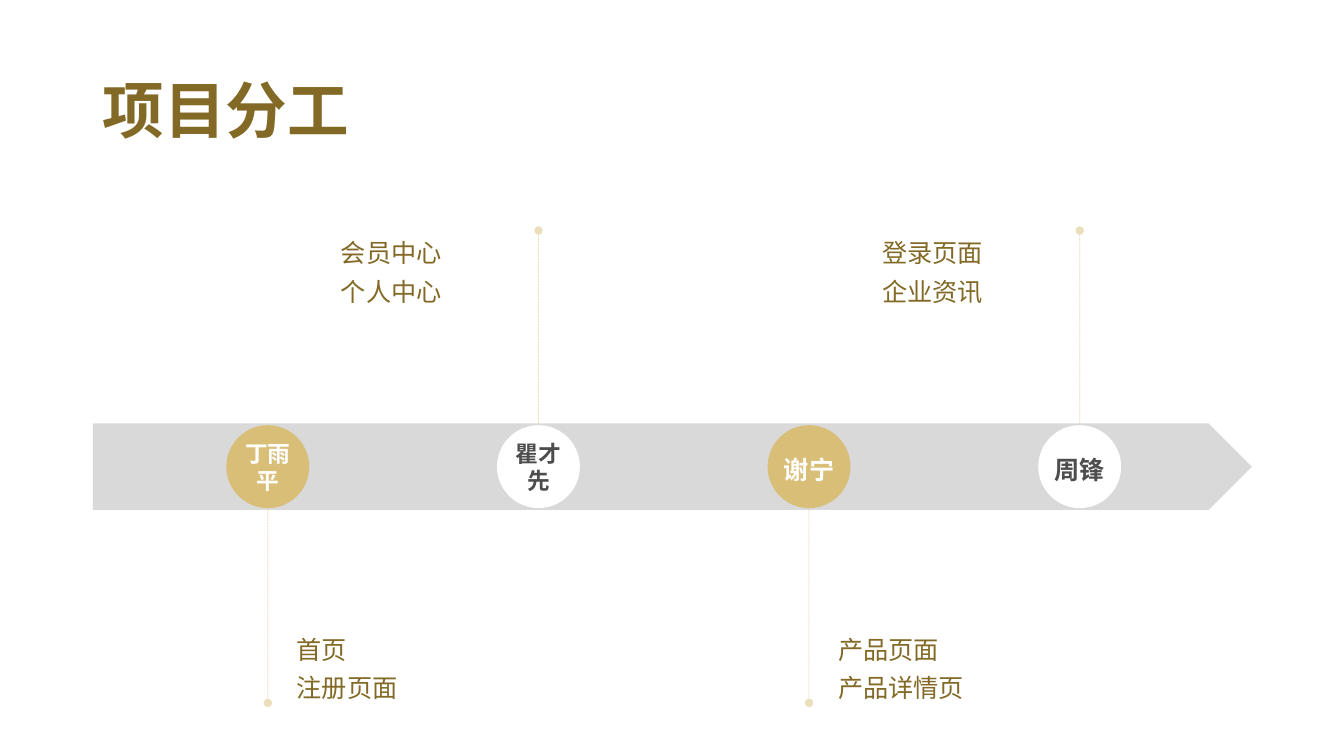
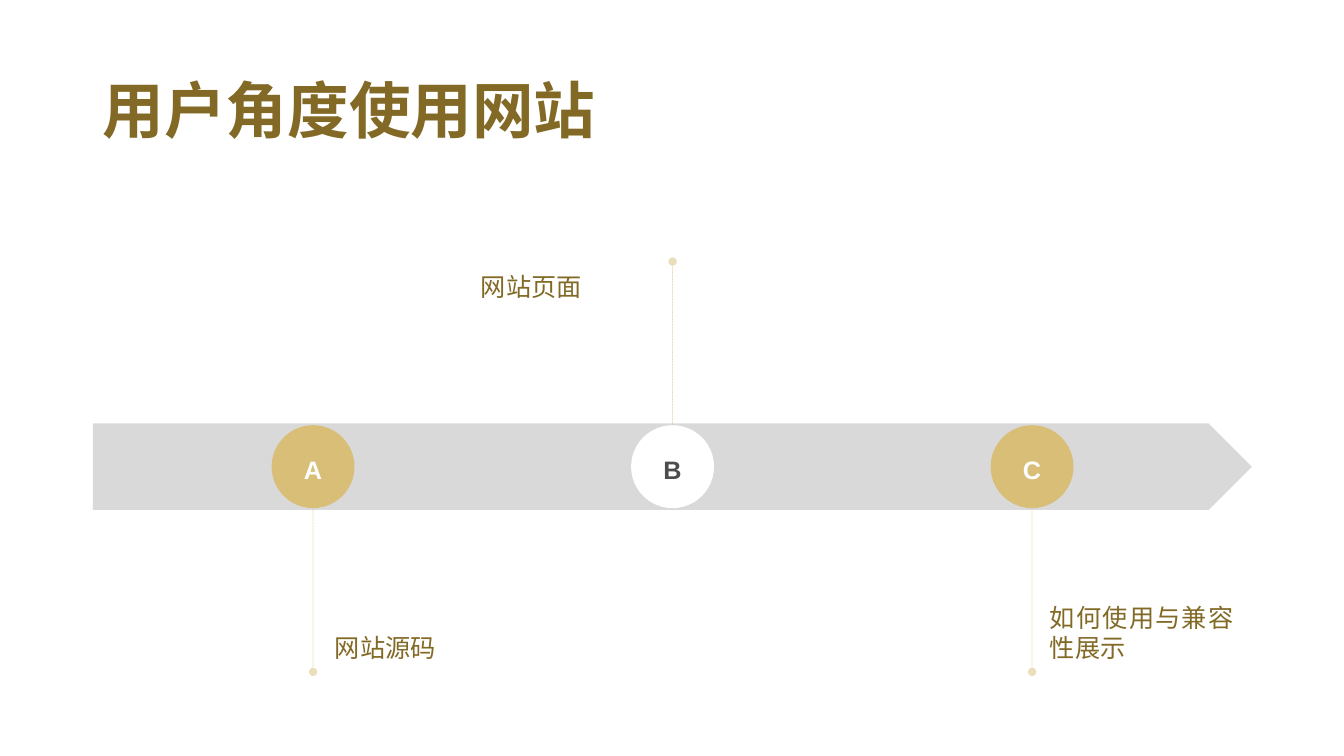
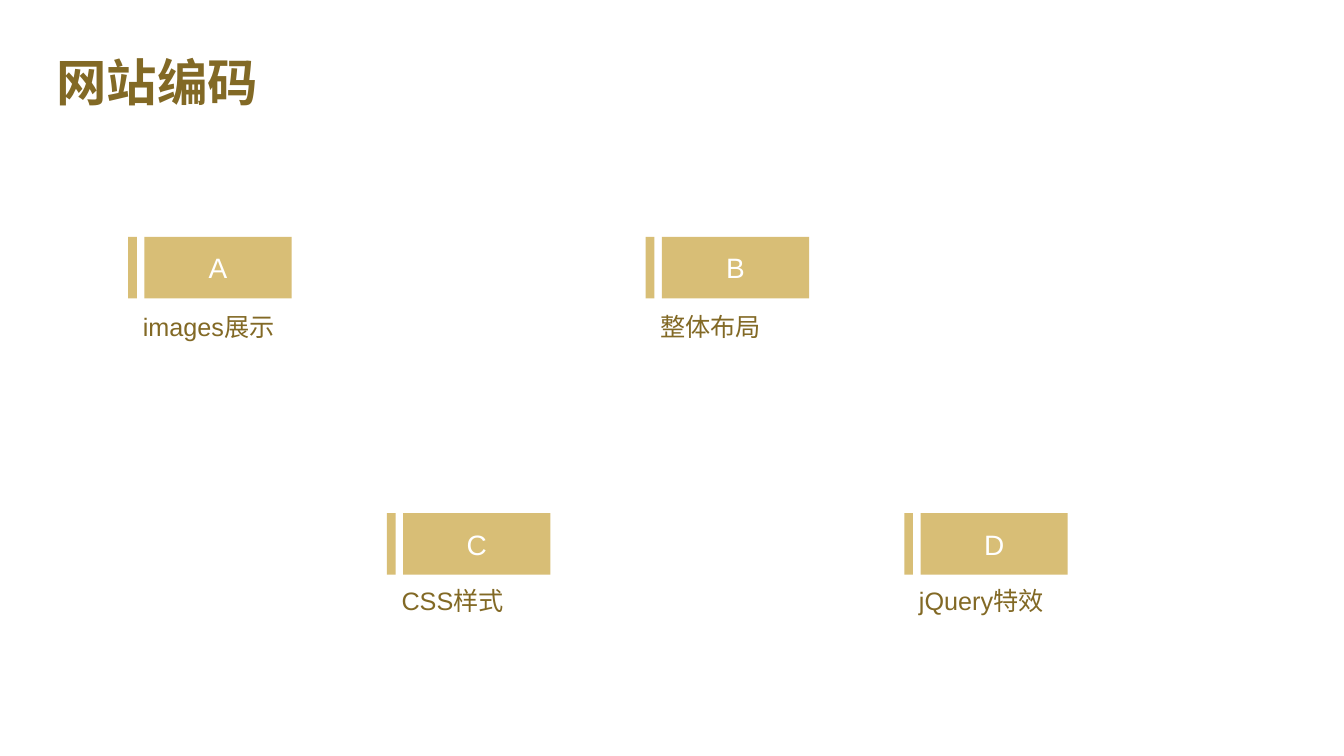
from lxml.etree import SubElement
from pptx import Presentation
from pptx.dml.color import RGBColor
from pptx.enum.dml import MSO_LINE
from pptx.enum.shapes import MSO_CONNECTOR, MSO_SHAPE as Preset
from pptx.enum.text import MSO_ANCHOR as Anchor, PP_ALIGN as Align
from pptx.oxml.ns import qn
from pptx.util import Cm, Pt

FONT = "Arial"
GOLD, BROWN, GREY = "D8BE76", "826925", "D9D9D9"
WHITE, DARK = "FFFFFF", "4D4D4D"

# Timeline measures in cm: the band, and the circles centred on it
BAND = (2.34, 10.67, 29.21, 2.18)
CIRCLE = 2.09
STEM_START = 0.67


def paint(color_format, color):
    color_format.rgb = RGBColor.from_string(color)


def write(shape, lines, size, color, bold=False, align=None, anchor=Anchor.TOP,
          spacing=None, before=None, insets=(0.25, 0.13)):
    frame = shape.text_frame
    frame.word_wrap = True
    frame.vertical_anchor = anchor
    frame.margin_left = frame.margin_right = Cm(insets[0])
    frame.margin_top = frame.margin_bottom = Cm(insets[1])
    frame.text = "\n".join(lines)
    for para in frame.paragraphs:
        para.alignment = align
        para.line_spacing = spacing
        para.space_before = before
        para.font.name = FONT
        para.font.size = Pt(size)
        para.font.bold = bold
        paint(para.font.color, color)


def add_text(page, box, lines, size, **style):
    shape = page.shapes.add_textbox(*map(Cm, box))
    write(shape, lines, size, BROWN, **style)


def add_label(page, box, lines, **style):
    add_text(page, box, lines, 18, align=Align.JUSTIFY, before=Pt(6), **style)


def add_title(page, box, title, size):
    add_text(page, box, [title], size, bold=True, anchor=Anchor.MIDDLE, spacing=0.9)


def add_block(page, preset, box, color):
    shape = page.shapes.add_shape(preset, *map(Cm, box))
    shape.shadow.inherit = False
    shape.fill.solid()
    paint(shape.fill.fore_color, color)
    shape.line.fill.background()
    return shape


def add_stem(page, x, start, tip):
    """Half-transparent dashed line with a dot at its tip."""
    stem = page.shapes.add_connector(
        MSO_CONNECTOR.STRAIGHT, Cm(x), Cm(start), Cm(x), Cm(tip))
    stem.line.width = Pt(0.5)
    paint(stem.line.color, GOLD)
    stem.line.dash_style = MSO_LINE.SQUARE_DOT
    outline = stem.line._get_or_add_ln()
    SubElement(outline.find(".//" + qn("a:srgbClr")), qn("a:alpha"), val="50000")
    SubElement(outline, qn("a:tailEnd"), type="oval")
    SubElement(stem.element.spPr, qn("a:effectLst"))


def add_milestone(page, x, middle, reach, below, name, lines, label):
    """Circle at (x, middle) with a stem; the label box is relative to the tip."""
    side = 1 if below else -1
    tip = middle + side * reach
    add_stem(page, x, middle + side * STEM_START, tip)

    circle = add_block(page, Preset.OVAL,
                       (x - CIRCLE / 2, middle - CIRCLE / 2, CIRCLE, CIRCLE),
                       GOLD if below else WHITE)
    long_name = len(name) > 2
    write(circle, [name], 16.2 if long_name else 18, WHITE if below else DARK,
          bold=True, align=Align.CENTER, anchor=Anchor.MIDDLE,
          spacing=None if long_name else 1.2, insets=(0, 0))

    dx, dy, width, height = label
    add_label(page, (x + dx, tip + dy, width, height), lines,
              anchor=Anchor.BOTTOM if below else Anchor.TOP, insets=(0.25, 0))


def timeline_slide(page, title, first, step, reach, milestones):
    add_title(page, (2.34, 1.02, 29.21, 3.68), title, 44)
    add_block(page, Preset.PENTAGON, BAND, GREY)
    middle = BAND[1] + BAND[3] / 2
    for index, milestone in enumerate(milestones):
        add_milestone(page, first + index * step, middle, reach,
                      index % 2 == 0, *milestone)


def add_card(page, left, top, letter, text, drop):
    add_block(page, Preset.RECTANGLE, (left, top, 0.22, 1.55), GOLD)
    tab = add_block(page, Preset.RECTANGLE, (left + 0.41, top, 3.71, 1.55), GOLD)
    write(tab, [letter], 20, WHITE, align=Align.CENTER, anchor=Anchor.MIDDLE)
    add_label(page, (left + 0.12, top + drop, 8.38, 2.11), [text])


def card_slide(page, title, first, step, rows):
    """Rows of cards, each row shifted one step right of the row above."""
    add_title(page, (1.17, 0.86, 23.04, 2.57), title, 36)
    for shift, (top, drop, cards) in enumerate(rows):
        for index, (letter, text) in enumerate(cards):
            left = first + (shift + 2 * index) * step
            add_card(page, left, top, letter, text, drop)


def main():
    deck = Presentation()
    deck.slide_width, deck.slide_height = Cm(33.87), Cm(19.05)
    pages = [deck.slides.add_slide(deck.slide_layouts[6]) for _ in range(3)]

    # Division of work
    lower, upper = (0.48, -3.07, 4.93, 3.07), (-5.23, 0.18, 4.93, 2.31)
    timeline_slide(pages[0], "项目分工", 6.75, 6.82, 5.95, [
        ("丁雨平", ["首页", "注册页面"], lower),
        ("瞿才先", ["会员中心", "个人中心"], upper),
        ("谢宁", ["产品页面", "产品详情页"], lower),
        ("周锋", ["登录页面", "企业资讯"], upper),
    ])

    # Using the site
    timeline_slide(pages[1], "用户角度使用网站", 7.89, 9.06, 5.17, [
        ("A", ["网站源码"], (0.3, -2.54, 5.13, 2.31)),
        ("B", ["网站页面"], (-5.08, 0.25, 4.88, 2.31)),
        ("C", ["如何使用与兼容性展示"], (0.2, -2.54, 5.13, 2.31)),
    ])

    # Coding of the site
    card_slide(pages[2], "网站编码", 3.23, 6.52, [
        (5.97, 1.75, [("A", "images展示"), ("B", "整体布局")]),
        (12.93, 1.68, [("C", "CSS样式"), ("D", "jQuery特效")]),
    ])

    deck.save("out.pptx")


if __name__ == "__main__":
    main()
